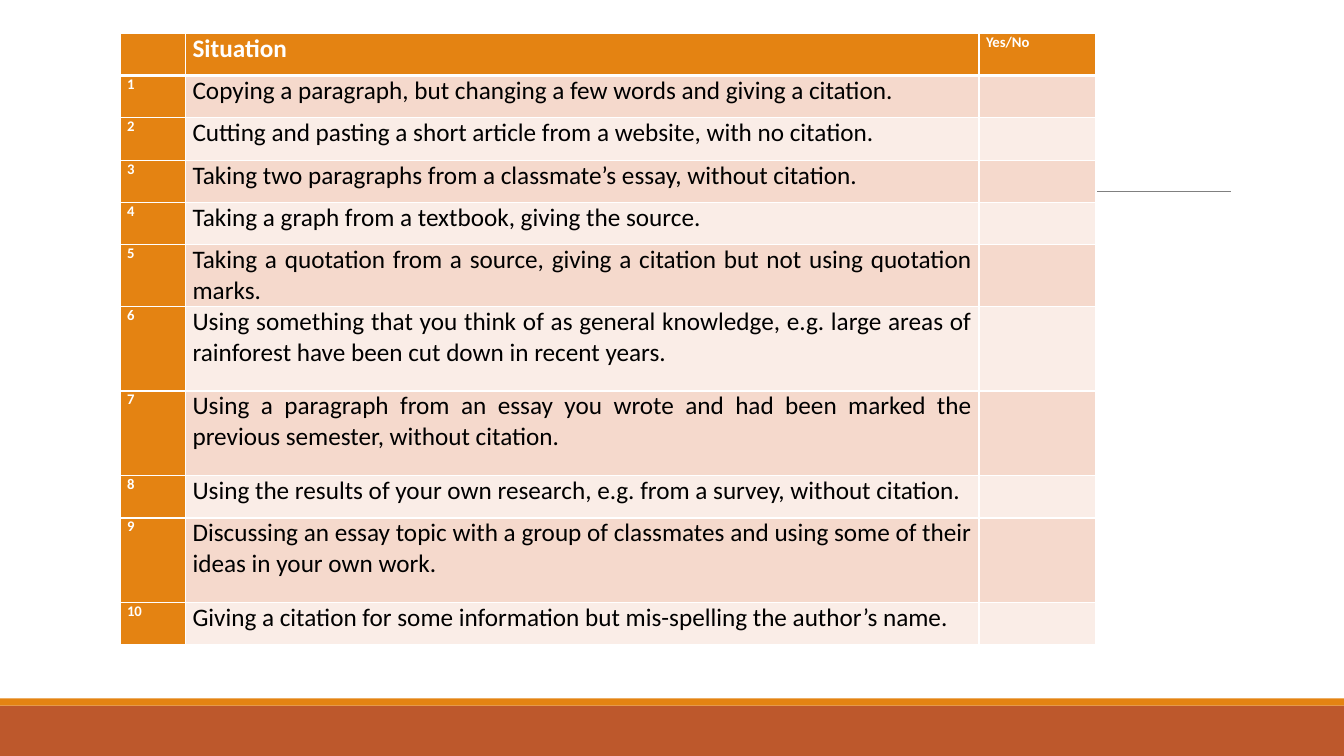
import pptx
import pptx.dml.color
import pptx.enum.shapes
import pptx.enum.text
import pptx.oxml
import pptx.oxml.ns
import pptx.util
from pptx.util import Inches

COLORS = {
    "orange": "E48312",
    "rust": "BD582C",
    "gray": "808080",
    "band_dark": "F5D9CC",
    "band_light": "FAEDE7",
    "white": "FFFFFF",
    "black": "000000",
}
SITUATIONS = [
    "Copying a paragraph, but changing a few words and giving a citation.",
    "Cutting and pasting a short article from a website, with no citation.",
    "Taking two paragraphs from a classmate’s essay, without citation.",
    "Taking a graph from a textbook, giving the source.",
    "Taking a quotation from a source, giving a citation but not using quotation marks.",
    "Using something that you think of as general knowledge, e.g. large areas of "
    "rainforest have been cut down in recent years.",
    "Using a paragraph from an essay you wrote and had been marked the previous "
    "semester, without citation.",
    "Using the results of your own research, e.g. from a survey, without citation.",
    "Discussing an essay topic with a group of classmates and using some of their "
    "ideas in your own work.",
    "Giving a citation for some information but mis-spelling the author’s name.",
]
ROW_HEIGHT = 0.42
TALL_ROWS = {6, 7, 9}
COLUMN_WIDTHS = [0.65, 7.87, 1.16]
MARGINS = {"margin_left": 0.07, "margin_right": 0.07, "margin_top": 0, "margin_bottom": 0}
LABEL = {"size": pptx.util.Pt(10.5), "bold": True, "name": "Calibri"}
HEADING = {**LABEL, "size": pptx.util.Pt(18)}
BODY = {**HEADING, "bold": False}


def rgb(name):
    return pptx.dml.color.RGBColor.from_string(COLORS[name])


def add_border(cell, side, points):
    """Draw a white border on one side (L, R, T or B) of a cell."""
    cell._tc.get_or_add_tcPr().append(pptx.oxml.parse_xml(
        f'<a:ln{side} {pptx.oxml.ns.nsdecls("a")} w="{pptx.util.Pt(points)}">'
        f'<a:solidFill><a:srgbClr val="{COLORS["white"]}"/></a:solidFill></a:ln{side}>'))


deck = pptx.Presentation()
deck.slide_width = Inches(13.33)
deck.slide_height = Inches(7.5)
page = deck.slides.add_slide(deck.slide_layouts[6])

# Footer bands
for top, height, color in [(7, 0.5, "rust"), (6.93, 0.07, "orange")]:
    band = page.shapes.add_shape(
        pptx.enum.shapes.MSO_SHAPE.RECTANGLE,
        0, Inches(top), deck.slide_width, Inches(height))
    band.shadow.inherit = False
    band.fill.solid()
    band.fill.fore_color.rgb = rgb(color)
    band.line.fill.background()

# Title rule
rule = page.shapes.add_connector(
    pptx.enum.shapes.MSO_CONNECTOR.STRAIGHT,
    Inches(1.31), Inches(1.9), Inches(12.21), Inches(1.9))
rule.line.color.rgb = rgb("gray")
rule.line.width = pptx.util.Pt(0.5)
rule._element.spPr.append(
    pptx.oxml.parse_xml(f'<a:effectLst {pptx.oxml.ns.nsdecls("a")}/>'))

# Situation table
rows = [["", "Situation ", "Yes/No"]]
rows += [[str(number), text, ""] for number, text in enumerate(SITUATIONS, 1)]
heights = [ROW_HEIGHT * (2 if index in TALL_ROWS else 1) for index in range(len(rows))]
table = page.shapes.add_table(
    len(rows), len(COLUMN_WIDTHS), Inches(1.19), Inches(0.33),
    Inches(sum(COLUMN_WIDTHS)), Inches(sum(heights))).table
for column, width in zip(table.columns, COLUMN_WIDTHS):
    column.width = Inches(width)

for row_index, texts in enumerate(rows):
    table.rows[row_index].height = Inches(heights[row_index])
    for column_index, text in enumerate(texts):
        cell = table.cell(row_index, column_index)
        for side in "LRTB":
            under_header = (row_index, side) in [(0, "B"), (1, "T")]
            add_border(cell, side, 3 if under_header else 1)
        is_label = row_index == 0 or column_index == 0
        band_color = "band_dark" if row_index % 2 else "band_light"
        cell.fill.solid()
        cell.fill.fore_color.rgb = rgb("orange" if is_label else band_color)
        for name, value in MARGINS.items():
            setattr(cell, name, Inches(value))
        if not text:
            continue
        para = cell.text_frame.paragraphs[0]
        para.alignment = pptx.enum.text.PP_ALIGN.JUSTIFY
        span = para.add_run()
        span.text = text
        if column_index != 1:
            style = LABEL
        else:
            style = BODY if row_index else HEADING
        for name, value in style.items():
            setattr(span.font, name, value)
        span.font.color.rgb = rgb("white" if is_label else "black")

deck.save("out.pptx")
